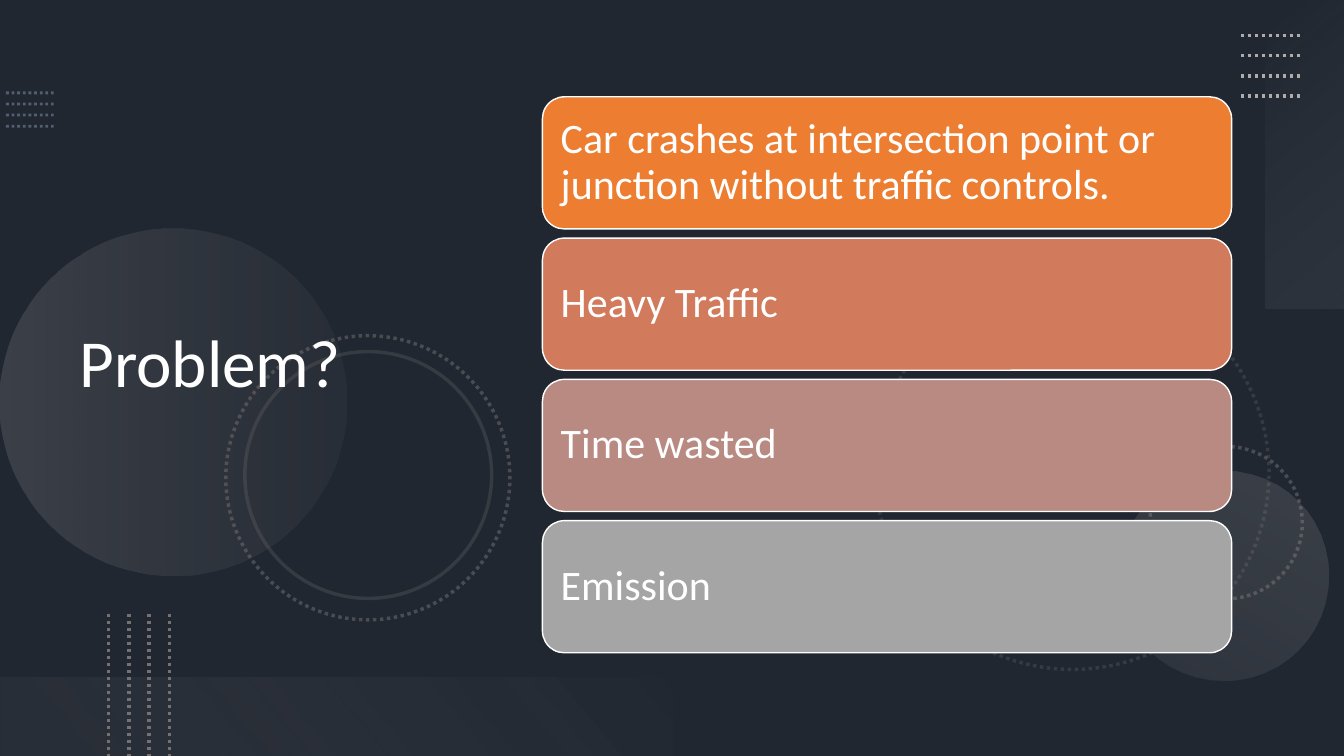
from dataclasses import dataclass

from lxml import etree
from pptx import Presentation
from pptx.dml.color import RGBColor
from pptx.enum import dml, shapes, text
from pptx.oxml import ns
from pptx.util import Cm, Pt


@dataclass(frozen=True)
class Theme:
    font: str = "Calibri"
    title_size: float = 48
    card_size: float = 30
    background: str = "44546A"
    shade: str = "000000"
    white: str = "FFFFFF"
    ring: str = "767171"
    light: str = "AFABAB"
    blue: str = "8497B0"
    mist: str = "F5F5F5"
    haze: str = "F1F0F0"
    cards: tuple = ("ED7D31", "D17B5C", "B98A82", "A5A5A5")


THEME = Theme()
PROBLEMS = (
    "Car crashes at intersection point or junction without traffic controls.",
    "Heavy Traffic",
    "Time wasted",
    "Emission",
)


def rgb(value):
    return RGBColor.from_string(value)


def set_alpha(fill_owner, percent):
    color = fill_owner.find(".//" + ns.qn("a:srgbClr"))
    etree.SubElement(color, ns.qn("a:alpha"), val=str(percent * 1000))


def style_line(line, color, width, dotted=False, alpha=100):
    line.color.rgb = rgb(color)
    line.width = Pt(width)
    if dotted:
        line.dash_style = dml.MSO_LINE.ROUND_DOT
    if alpha < 100:
        set_alpha(line.fill._xPr, alpha)


def add_plain_shape(slide, kind, box, rotation=0):
    shape = slide.shapes.add_shape(kind, *map(Cm, box))
    shape.rotation = rotation
    shape.shadow.inherit = False
    shape.fill.background()
    shape.line.fill.background()
    return shape


def add_shade(slide, width, height):
    shade = add_plain_shape(slide, shapes.MSO_SHAPE.RECTANGLE, (0, 0, width, height))
    shade.fill.solid()
    shade.fill.fore_color.rgb = rgb(THEME.shade)
    set_alpha(shade.element.spPr, 53)


def add_glow(slide, kind, box, rotation, stops, angle):
    glow = add_plain_shape(slide, kind, box, rotation)
    gradient = etree.Element(ns.qn("a:gradFill"), rotWithShape="1")
    stop_list = etree.SubElement(gradient, ns.qn("a:gsLst"))
    for position, color, alpha in stops:
        stop = etree.SubElement(stop_list, ns.qn("a:gs"), pos=str(position * 1000))
        etree.SubElement(stop, ns.qn("a:srgbClr"), val=color)
        set_alpha(stop, alpha)
    etree.SubElement(gradient, ns.qn("a:lin"), ang=str(angle * 60000), scaled="0")
    properties = glow.element.spPr
    properties.replace(properties.find(ns.qn("a:noFill")), gradient)


def add_ring(slide, left, top, size, rotation, dotted, alpha):
    ring = add_plain_shape(
        slide, shapes.MSO_SHAPE.OVAL, (left, top, size, size), rotation
    )
    style_line(ring.line, THEME.ring, 2.5, dotted, alpha)


def add_dotted_lines(slide, start, end, step, color, width, alpha=100):
    for index in range(4):
        dx, dy = index * step[0], index * step[1]
        dots = slide.shapes.add_connector(
            shapes.MSO_CONNECTOR.STRAIGHT,
            Cm(start[0] + dx), Cm(start[1] + dy),
            Cm(end[0] + dx), Cm(end[1] + dy),
        )
        style_line(dots.line, color, width, True, alpha)
        etree.SubElement(dots.element.spPr, ns.qn("a:effectLst"))


def write_text(frame, words, size):
    frame.word_wrap = True
    frame.vertical_anchor = text.MSO_ANCHOR.MIDDLE
    paragraph = frame.paragraphs[0]
    paragraph.alignment = text.PP_ALIGN.LEFT
    paragraph.line_spacing = 0.9
    run = paragraph.add_run()
    run.text = words
    run.font.name = THEME.font
    run.font.size = Pt(size)
    run.font.color.rgb = rgb(THEME.white)


def place_title(slide, words):
    title = slide.shapes.title
    title.left, title.top, title.width, title.height = map(
        Cm, (1.75, 1.37, 11.66, 15.67)
    )
    title.element.getparent().append(title.element)
    title.text_frame.auto_size = text.MSO_AUTO_SIZE.NONE
    write_text(title.text_frame, words, THEME.title_size)


def add_problem_card(slide, top, words, color):
    card = add_plain_shape(
        slide, shapes.MSO_SHAPE.ROUNDED_RECTANGLE, (13.67, top, 17.37, 3.33)
    )
    card.fill.solid()
    card.fill.fore_color.rgb = rgb(color)
    style_line(card.line, THEME.white, 1)
    frame = card.text_frame
    frame.margin_left = frame.margin_right = Cm(0.3)
    frame.margin_top = frame.margin_bottom = Cm(0.3)
    write_text(frame, words, THEME.card_size)


def add_decoration(slide):
    oval, band = shapes.MSO_SHAPE.OVAL, shapes.MSO_SHAPE.RECTANGLE
    add_dotted_lines(slide, (0.15, 2.34), (1.35, 2.34), (0, 0.28), THEME.blue, 2, 50)
    add_ring(slide, 22.07, 6.96, 9.91, 75, True, 25)
    add_ring(slide, 28.98, 11.25, 3.84, 270, True, 50)
    add_glow(slide, oval, (0, 5.77, 8.74, 8.74), 270,
             ((0, THEME.light, 20), (100, THEME.ring, 10)), 90)
    add_glow(slide, oval, (28.19, 11.86, 5.28, 5.28), 210,
             ((0, THEME.light, 10), (100, THEME.light, 20)), 90)
    add_ring(slide, 5.69, 8.46, 7.16, 75, True, 50)
    add_ring(slide, 6.17, 8.86, 6.22, 75, False, 25)
    add_glow(slide, band, (29.01, 2.9, 7.77, 1.98), 270,
             ((0, THEME.mist, 0), (100, THEME.light, 10)), 140)
    add_dotted_lines(slide, (31.27, 0.89), (32.79, 0.89), (0, 0.51), THEME.light, 2.5)
    add_glow(slide, band, (0, 17.07, 16.94, 1.98), 180,
             ((10, THEME.ring, 10), (100, THEME.haze, 0)), 140)
    add_dotted_lines(slide, (2.74, 15.47), (2.74, 19.05), (0.51, 0), THEME.ring, 2.5)


def main():
    deck = Presentation()
    width, height = 33.87, 19.05
    deck.slide_width, deck.slide_height = Cm(width), Cm(height)
    slide = deck.slides.add_slide(deck.slide_layouts[5])
    slide.background.fill.solid()
    slide.background.fill.fore_color.rgb = rgb(THEME.background)
    add_shade(slide, width, height)
    add_decoration(slide)
    place_title(slide, "Problem?")
    for row, (problem, color) in enumerate(zip(PROBLEMS, THEME.cards)):
        add_problem_card(slide, 2.44 + row * 3.56, problem, color)
    deck.save("out.pptx")


if __name__ == "__main__":
    main()
